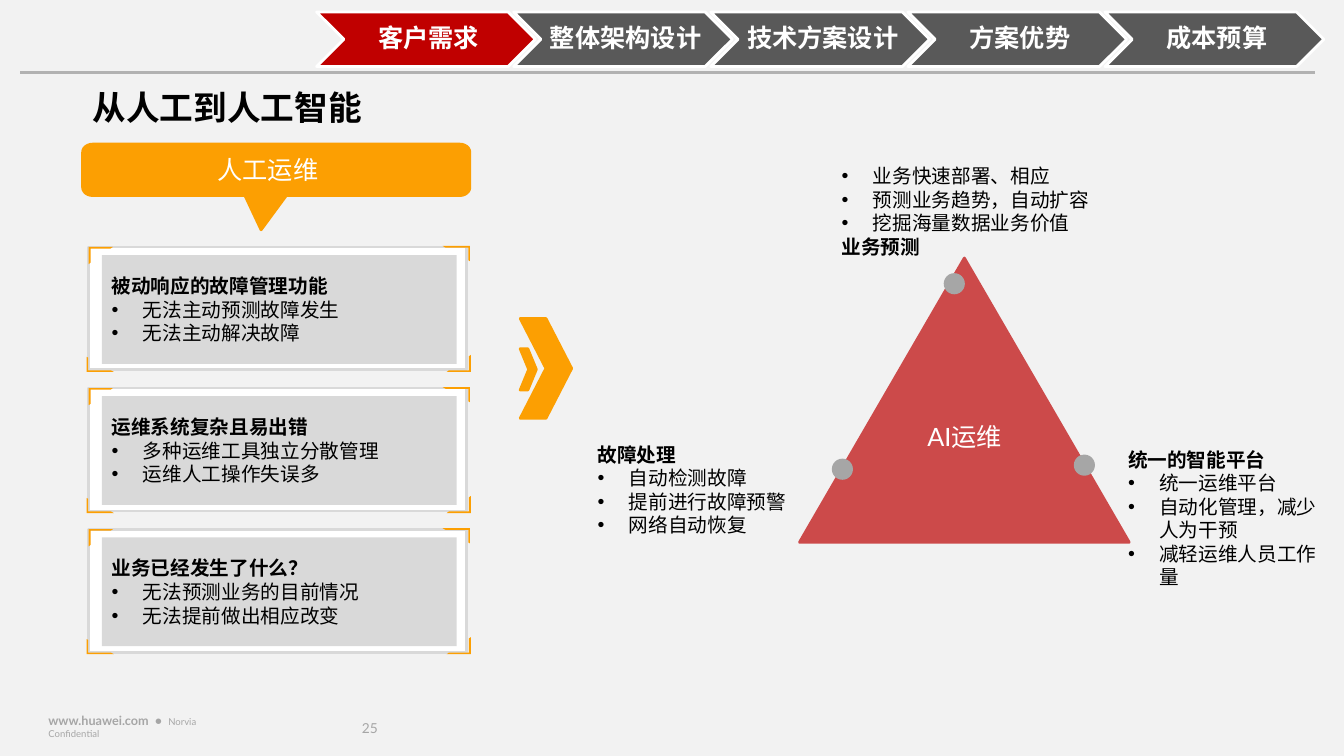
import math
from lxml import etree
from pptx import Presentation
from pptx import util as u
from pptx.dml.color import RGBColor
from pptx.enum import shapes, text
from pptx.oxml.ns import qn

GOLD = RGBColor(0xFC, 0x9F, 0x02)
RED = RGBColor(0xC0, 0, 0)
ROSE = RGBColor(0xCC, 0x4A, 0x4A)
DARK = RGBColor(0x59, 0x59, 0x59)
RULE = RGBColor(0xB2, 0xB2, 0xB2)
GREY = RGBColor(0xA6, 0xA6, 0xA6)
PALE = RGBColor(0xD9, 0xD9, 0xD9)
BACK = RGBColor(0xF2, 0xF2, 0xF2)
WHITE = RGBColor(0xFF, 0xFF, 0xFF)
BLACK = RGBColor(0, 0, 0)
LATO, NOTO = "Lato", "Noto Sans CJK SC"
KIND = shapes.MSO_SHAPE
MID, TOP = text.MSO_ANCHOR.MIDDLE, text.MSO_ANCHOR.TOP
LEFT, MIDDLE = text.PP_ALIGN.LEFT, text.PP_ALIGN.CENTER

TITLE = "从人工到人工智能"
STEPS = ["客户需求", "整体架构设计", "技术方案设计", "方案优势", "成本预算"]
MANUAL = "人工运维"
CARDS = [
    ("被动响应的故障管理功能", ["无法主动预测故障发生", "无法主动解决故障"]),
    ("运维系统复杂且易出错", ["多种运维工具独立分散管理", "运维人工操作失误多"]),
    ("业务已经发生了什么？", ["无法预测业务的目前情况", "无法提前做出相应改变"]),
]
SMART = "AI运维"
NOTES = [
    ((8.25, 1.58, 2.68, 1.04), "业务预测",
     ["业务快速部署、相应", "预测业务趋势，自动扩容", "挖掘海量数据业务价值"],
     {"last": True, "wrap": False}),
    ((5.83, 4.34, 2.09, 1.04), "故障处理",
     ["自动检测故障", "提前进行故障预警", "网络自动恢复"], {"wrap": False}),
    ((11.09, 4.39, 2.14, 1.75), "统一的智能平台",
     ["统一运维平台", "自动化管理，减少人为干预", "减轻运维人员工作量"], {}),
]
SITE, MARK, PAGE = "www.huawei.com  •  ", "Norvia Confidential", "25"

CORNERS = [(0, 0, 0.24, 0.17, 0), (3.57, -0.07, 0.15, 0.27, 90),
           (0.04, 1.03, 0.15, 0.27, 270), (3.55, 1.07, 0.24, 0.17, 180)]
DOTS = [(8.25, 4.55), (9.36, 2.71), (10.65, 4.51)]

deck = Presentation()
deck.slide_width, deck.slide_height = u.Inches(13.33), u.Inches(7.5)
slide = deck.slides.add_slide(deck.slide_layouts[5])
slide.background.fill.solid()
slide.background.fill.fore_color.rgb = BACK


def inches(*nums):
    return [u.Inches(n) for n in nums]


def style(run, size, font, color, bold):
    run.font.size, run.font.bold, run.font.name = u.Pt(size), bold, font
    run.font.color.rgb = color
    etree.SubElement(run.font._element, qn("a:ea")).set("typeface", font)


def write(shape, lines, size=14, font=LATO, color=BLACK, bold=False, align=LEFT,
          anchor=TOP, inset=(0.1, 0.05, 0.1, 0.05), wrap=True, space=None):
    frame = shape.text_frame
    frame.word_wrap, frame.vertical_anchor = wrap, anchor
    frame.auto_size = text.MSO_AUTO_SIZE.NONE
    (frame.margin_left, frame.margin_top,
     frame.margin_right, frame.margin_bottom) = inches(*inset)
    for i, line in enumerate([lines] if isinstance(lines, str) else lines):
        words, item = (line, None) if isinstance(line, str) else line
        par = frame.add_paragraph() if i else frame.paragraphs[0]
        par.alignment = align
        if space:
            par.line_spacing = space
        if item:
            props = par._p.get_or_add_pPr()
            props.set("marL", str(u.Inches(0.31)))
            props.set("indent", str(u.Inches(-0.31)))
            etree.SubElement(props, qn("a:buFont")).set("typeface", "Arial")
            etree.SubElement(props, qn("a:buChar")).set("char", "•")
        run = par.add_run()
        run.text = words
        style(run, size, font, color, bold if item is None else not item)


def paint(shape, fill, line=None):
    shape.shadow.inherit = False
    shape.fill.solid()
    shape.fill.fore_color.rgb = fill
    if line is None:
        shape.line.fill.background()
    else:
        shape.line.color.rgb, shape.line.width = line, u.Pt(2)
    return shape


def draw(kind, place, fill, line=None, adj=(), turn=0):
    shape = slide.shapes.add_shape(kind, *inches(*place))
    for i, part in enumerate(adj):
        shape.adjustments[i] = part
    shape.rotation = turn
    return paint(shape, fill, line)


def label(place, lines, **form):
    box = slide.shapes.add_textbox(*inches(*place))
    write(box, lines, **form)
    return box


def listing(head, items, last=False):
    rows = [(item, True) for item in items]
    return rows + [(head, False)] if last else [(head, False)] + rows


def balloon(left, top, right, base, tail):
    rx, ry = 0.1, 0.08
    mids = [(right - rx, top + ry, -90), (right - rx, base - ry, 0),
            (left + rx, base - ry, 90), (left + rx, top + ry, 180)]
    dots = []
    for i, (x, y, start) in enumerate(mids):
        for step in range(7):
            turn = math.radians(start + 15 * step)
            dots.append((x + rx * math.cos(turn), y + ry * math.sin(turn)))
        if i == 1:
            dots += tail
    dots = [inches(*dot) for dot in dots]
    form = slide.shapes.build_freeform(*dots[0], scale=1.0)
    form.add_line_segments(dots[1:], close=True)
    return paint(form.convert_to_shape(), GOLD, GOLD)


def main():
    title = slide.shapes.title
    title.left, title.top, title.width, title.height = inches(0.82, 0.81, 5.77, 0.5)
    write(title, TITLE, size=24, font=NOTO, bold=True)

    for i, step in enumerate(STEPS):
        arrow = draw(KIND.CHEVRON, (3.14 + 1.955 * i, 0.12, 2.17, 0.54),
                     DARK if i else RED, WHITE)
        write(arrow, step, size=18, font=NOTO, color=WHITE, bold=True, align=MIDDLE,
              anchor=MID, inset=(0.08, 0.03, 0.03, 0.03), space=0.9)
    rule = slide.shapes.add_connector(shapes.MSO_CONNECTOR.STRAIGHT,
                                      *inches(0.2, 0.72, 13.04, 0.72))
    rule.line.color.rgb, rule.line.width = RULE, u.Pt(2.25)
    etree.SubElement(rule._element.spPr, qn("a:effectLst"))

    balloon(0.82, 1.43, 4.66, 1.94, [(2.84, 1.94), (2.59, 2.28), (2.43, 1.94)])
    label((2.06, 1.48, 2.33, 0.4), MANUAL, size=18, font=NOTO, color=WHITE)
    for i, (head, items) in enumerate(CARDS):
        x, y = 0.88, 2.45 + 1.4 * i
        draw(KIND.RECTANGLE, (x, y, 3.75, 1.22), WHITE, PALE)
        for dx, dy, wide, high, turn in CORNERS:
            draw(KIND.HALF_FRAME, (x + dx, y + dy, wide, high), GOLD,
                 adj=(0.093, 0.113), turn=turn)
        card = draw(KIND.RECTANGLE, (x + 0.13, y + 0.08, 3.52, 1.08), PALE)
        write(card, listing(head, items), anchor=MID)

    draw(KIND.CHEVRON, (5.16, 3.16, 0.51, 0.99), GOLD, GOLD)
    draw(KIND.CHEVRON, (5.16, 3.46, 0.16, 0.41), GOLD, GOLD, adj=(0.528,))

    draw(KIND.ISOSCELES_TRIANGLE, (7.93, 2.56, 3.27, 2.82), ROSE, ROSE)
    for x, y in DOTS:
        draw(KIND.OVAL, (x, y, 0.21, 0.21), GREY)
    label((9.1, 4.13, 1.23, 0.4), SMART, size=18, color=WHITE)
    for place, head, items, form in NOTES:
        label(place, listing(head, items, form.get("last", False)),
              wrap=form.get("wrap", True))

    foot = label((0.41, 7.09, 2.09, 0.23), SITE, size=9, color=GREY, bold=True,
                 anchor=MID, inset=(0.07, 0.04, 0.07, 0.04))
    mark = foot.text_frame.paragraphs[0].add_run()
    mark.text = MARK
    style(mark, 6.8, LATO, GREY, False)
    label((3.59, 7.13, 0.4, 0.21), PAGE, size=9.8, color=GREY, anchor=MID,
          inset=(0, 0, 0, 0), space=0.85)
    deck.save("out.pptx")


if __name__ == "__main__":
    main()
